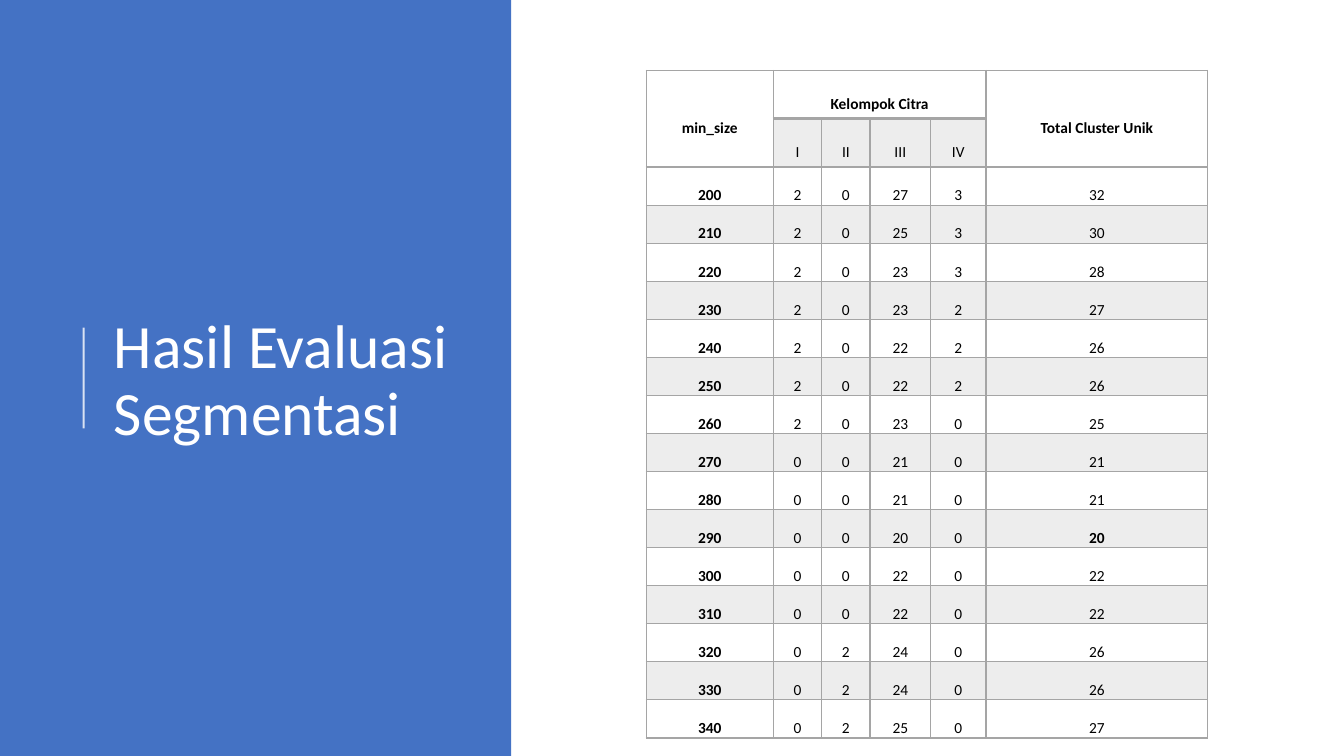
from typing import NamedTuple

from lxml.etree import SubElement
from pptx import Presentation
from pptx.dml.color import RGBColor
from pptx.enum.shapes import MSO_CONNECTOR, MSO_SHAPE
from pptx.enum.text import MSO_ANCHOR, MSO_AUTO_SIZE, PP_ALIGN
from pptx.oxml.ns import qn
from pptx.util import Inches, Pt

COLORS = {"panel": "4472C4", "white": "FFFFFF", "grid": "A5A5A5", "text": "000000"}
FONT = "Calibri"
COLUMN_WIDTHS = [1.26, 0.48, 0.48, 0.6, 0.55, 2.2]
HEADER_HEIGHTS = [0.45, 0.48]
ROW_HEIGHT = 0.35
GROUPS = ["I", "II", "III", "IV"]


class Evaluation(NamedTuple):
    min_size: int
    clusters: tuple[int, int, int, int]
    total: int


class Heading(NamedTuple):
    text: str
    column: int
    last_row: int
    last_column: int


HEADINGS = [
    Heading("min_size", 0, 1, 0),
    Heading("Kelompok Citra", 1, 0, 4),
    Heading("Total Cluster Unik", 5, 1, 5),
]
EVALUATIONS = [
    Evaluation(200, (2, 0, 27, 3), 32),
    Evaluation(210, (2, 0, 25, 3), 30),
    Evaluation(220, (2, 0, 23, 3), 28),
    Evaluation(230, (2, 0, 23, 2), 27),
    Evaluation(240, (2, 0, 22, 2), 26),
    Evaluation(250, (2, 0, 22, 2), 26),
    Evaluation(260, (2, 0, 23, 0), 25),
    Evaluation(270, (0, 0, 21, 0), 21),
    Evaluation(280, (0, 0, 21, 0), 21),
    Evaluation(290, (0, 0, 20, 0), 20),
    Evaluation(300, (0, 0, 22, 0), 22),
    Evaluation(310, (0, 0, 22, 0), 22),
    Evaluation(320, (0, 2, 24, 0), 26),
    Evaluation(330, (0, 2, 24, 0), 26),
    Evaluation(340, (0, 2, 25, 0), 27),
]


def rgb(name: str) -> RGBColor:
    return RGBColor.from_string(COLORS[name])


def apply(target, values: dict) -> None:
    for name, value in values.items():
        setattr(target, name, value)


def set_opacity(element, percent: int) -> None:
    color = next(element.iter(qn("a:srgbClr")))
    SubElement(color, qn("a:alpha"), val=str(percent * 1000))


def set_borders(cell, bottom: int) -> None:
    properties = cell._tc.get_or_add_tcPr()
    for side, width in {"L": 1, "R": 1, "T": 1, "B": bottom}.items():
        line = SubElement(properties, qn(f"a:ln{side}"), w=str(Pt(width)))
        fill = SubElement(line, qn("a:solidFill"))
        SubElement(fill, qn("a:srgbClr"), val=COLORS["grid"])


def write_cell(cell, text: str, bold: bool, margin_x: float, margin_y: float) -> None:
    cell.text = text
    apply(cell, {
        "vertical_anchor": MSO_ANCHOR.MIDDLE,
        "margin_left": Inches(margin_x), "margin_right": Inches(margin_x),
        "margin_top": Inches(margin_y), "margin_bottom": Inches(margin_y),
    })
    paragraph = cell.text_frame.paragraphs[0]
    apply(paragraph, {"alignment": PP_ALIGN.CENTER, "line_spacing": 2.0})
    font = paragraph.runs[0].font
    apply(font, {"name": FONT, "size": Pt(11), "bold": bold})
    font.color.rgb = rgb("text")


def add_title(slide) -> None:
    title = slide.shapes.title
    apply(title, {"left": Inches(1.03), "top": Inches(0.78),
                  "width": Inches(3.69), "height": Inches(6.02)})
    title.text_frame.text = "Hasil Evaluasi Segmentasi"
    apply(title.text_frame, {"word_wrap": True, "auto_size": MSO_AUTO_SIZE.NONE,
                             "vertical_anchor": MSO_ANCHOR.MIDDLE})
    paragraph = title.text_frame.paragraphs[0]
    apply(paragraph, {"alignment": PP_ALIGN.LEFT, "line_spacing": 0.9})
    font = paragraph.runs[0].font
    apply(font, {"name": FONT, "size": Pt(44)})
    font.color.rgb = rgb("white")


def add_panel(slide) -> None:
    panel = slide.shapes.add_shape(
        MSO_SHAPE.RECTANGLE, 0, 0, Inches(5.07), Inches(7.5))
    panel.shadow.inherit = False
    panel.fill.solid()
    panel.fill.fore_color.rgb = rgb("panel")
    panel.line.fill.background()
    # The panel lies behind the title
    slide.shapes.title.element.addprevious(panel.element)

    accent = slide.shapes.add_connector(
        MSO_CONNECTOR.STRAIGHT, Inches(0.83), Inches(4.25), Inches(0.83), Inches(3.25))
    accent.line.width = Pt(1.5)
    accent.line.color.rgb = rgb("white")
    set_opacity(accent.element.spPr, 80)
    SubElement(accent.element.spPr, qn("a:effectLst"))


def add_results(slide) -> None:
    heights = HEADER_HEIGHTS + [ROW_HEIGHT] * len(EVALUATIONS)
    table = slide.shapes.add_table(
        len(heights), len(COLUMN_WIDTHS), Inches(6.41), Inches(0.7),
        Inches(sum(COLUMN_WIDTHS)), Inches(sum(heights))).table
    apply(table, {"first_row": False, "horz_banding": False})
    for column, width in zip(table.columns, COLUMN_WIDTHS):
        column.width = Inches(width)
    for row, height in zip(table.rows, heights):
        row.height = Inches(height)

    # Merged headings
    for heading in HEADINGS:
        cell = table.cell(0, heading.column)
        cell.merge(table.cell(heading.last_row, heading.last_column))
        write_cell(cell, heading.text, True, 0.1, 0.05)

    # Grid lines, with every second row shaded
    for row_index, row in enumerate(table.rows):
        for cell in row.cells:
            heading = cell.is_merge_origin or cell.is_spanned
            set_borders(cell, 2 if heading else 1)
            if row_index % 2 and not heading:
                cell.fill.solid()
                cell.fill.fore_color.rgb = rgb("grid")
                set_opacity(cell._tc.tcPr.find(qn("a:solidFill")), 20)
            else:
                cell.fill.background()

    # Group names and values; the lowest total is bold
    for column, group in enumerate(GROUPS, start=1):
        write_cell(table.cell(1, column), group, False, 0.05, 0)
    lowest = min(evaluation.total for evaluation in EVALUATIONS)
    for row_index, evaluation in enumerate(EVALUATIONS, start=len(HEADER_HEIGHTS)):
        values = (evaluation.min_size, *evaluation.clusters, evaluation.total)
        for column, value in enumerate(values):
            bold = column == 0 or (column == 5 and value == lowest)
            write_cell(table.cell(row_index, column), str(value), bold, 0.05, 0)


def main() -> None:
    deck = Presentation()
    apply(deck, {"slide_width": Inches(13.33), "slide_height": Inches(7.5)})
    slide = deck.slides.add_slide(deck.slide_layouts[5])
    add_title(slide)
    add_panel(slide)
    add_results(slide)
    deck.save("out.pptx")


if __name__ == "__main__":
    main()
